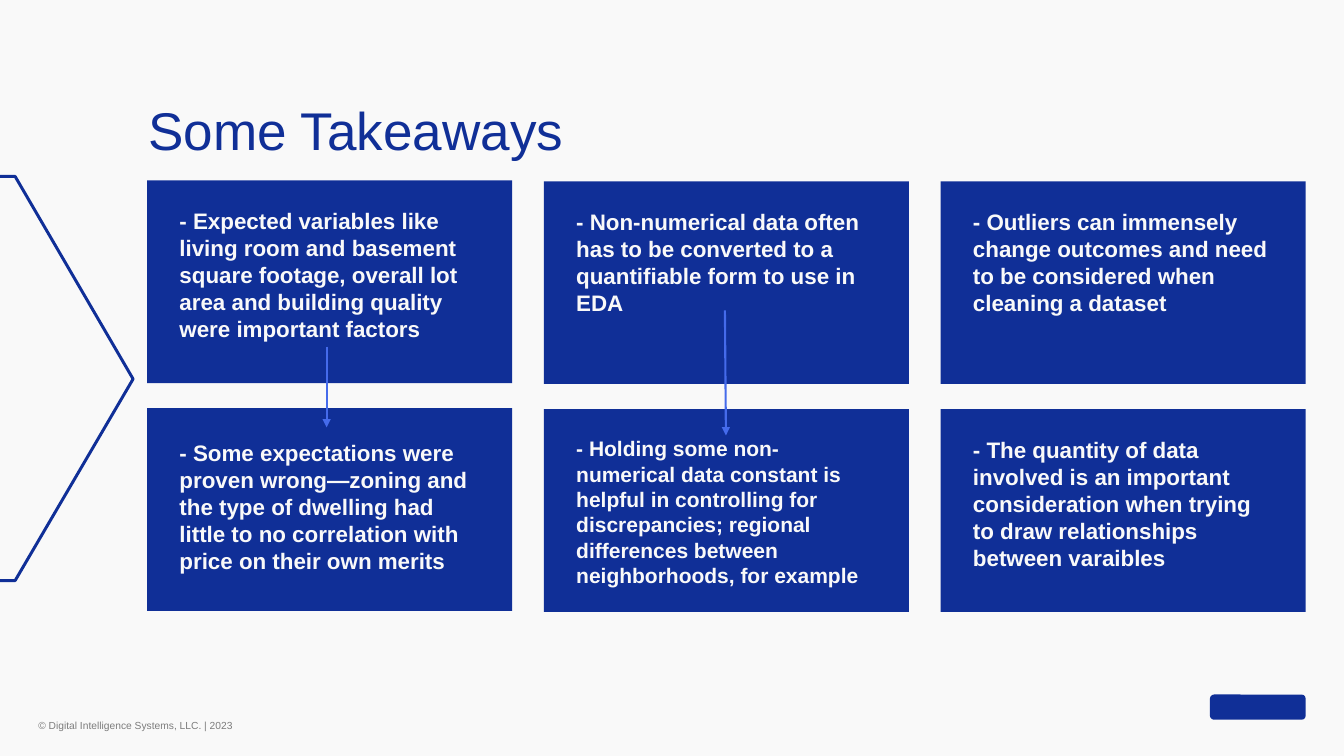
from lxml.etree import SubElement
from pptx import Presentation
from pptx.dml.color import RGBColor
from pptx.enum.shapes import MSO_CONNECTOR, MSO_SHAPE
from pptx.enum.text import MSO_ANCHOR, MSO_AUTO_SIZE, PP_ALIGN
from pptx.oxml.ns import qn
from pptx.util import Inches, Pt

NAVY = RGBColor(0x10, 0x2F, 0x97)
ARROW_BLUE = RGBColor(0x45, 0x6B, 0xEB)
OFF_WHITE = RGBColor(0xF9, 0xF9, 0xF9)
GREY = RGBColor(0x7C, 0x7C, 0x7C)
FONT = "Arial"

CARD_LEFT, CARD_TOP = 1.46, 1.8
CARD_WIDTH, CARD_HEIGHT = 3.62, 2.01
COLUMN_STEP, ROW_STEP = 3.935, 2.26
TEXT_INSET = 0.32

# Each takeaway: text, top of its text, font size
TAKEAWAYS = [
    [
        ("- Expected variables like living room and basement square footage, "
         "overall lot area and building quality were important factors", 2.05, 16),
        ("- Non-numerical data often has to be converted to a quantifiable "
         "form to use in EDA", 2.06, 16),
        ("- Outliers can immensely change outcomes and need to be considered "
         "when cleaning a dataset", 2.06, 16),
    ],
    [
        ("- Some expectations were proven wrong—zoning and the type of dwelling "
         "had little to no correlation with price on their own merits", 4.35, 16),
        ("- Holding some non-numerical data constant is helpful in controlling "
         "for discrepancies; regional differences between neighborhoods, "
         "for example", 4.32, 15),
        ("- The quantity of data involved is an important consideration when "
         "trying to draw relationships between varaibles", 4.32, 16),
    ],
]


def write_text(shape, text, size, color, bold=False, line_spacing=1.0,
               anchor=MSO_ANCHOR.TOP):
    """Fill a shape with one left-aligned paragraph and no margins."""
    frame = shape.text_frame
    frame.word_wrap = True
    frame.auto_size = MSO_AUTO_SIZE.NONE
    frame.vertical_anchor = anchor
    frame.margin_left = frame.margin_right = 0
    frame.margin_top = frame.margin_bottom = 0
    paragraph = frame.paragraphs[0]
    paragraph.text = text
    paragraph.alignment = PP_ALIGN.LEFT
    paragraph.line_spacing = line_spacing
    paragraph.space_before = Pt(0)
    font = paragraph.font
    font.name, font.size, font.bold = FONT, Pt(size), bold
    font.color.rgb = color


class TakeawaySlide:
    def __init__(self, presentation):
        self.slide = presentation.slides.add_slide(presentation.slide_layouts[5])
        self.shapes = self.slide.shapes
        background = self.slide.background.fill
        background.solid()
        background.fore_color.rgb = OFF_WHITE

    def title(self, text, left, top, width, height):
        title = self.shapes.title
        title.left, title.top = Inches(left), Inches(top)
        title.width, title.height = Inches(width), Inches(height)
        write_text(title, text, 37.9, NAVY, line_spacing=0.9,
                   anchor=MSO_ANCHOR.MIDDLE)

    def text(self, text, left, top, width, height, **text_format):
        box = self.shapes.add_textbox(Inches(left), Inches(top),
                                      Inches(width), Inches(height))
        write_text(box, text, **text_format)

    def block(self, left, top, width, height, kind=MSO_SHAPE.RECTANGLE):
        block = self.shapes.add_shape(kind, Inches(left), Inches(top),
                                      Inches(width), Inches(height))
        block.shadow.inherit = False
        block.fill.solid()
        block.fill.fore_color.rgb = NAVY
        block.line.fill.background()

    def outline(self, points):
        """Draw an open, unfilled line through the points."""
        corners = [(Inches(x), Inches(y)) for x, y in points]
        builder = self.shapes.build_freeform(*corners[0])
        builder.add_line_segments(corners[1:], close=False)
        outline = builder.convert_to_shape()
        outline.shadow.inherit = False
        outline.fill.background()
        outline.line.color.rgb = NAVY
        outline.line.width = Pt(2.12)

    def arrow(self, start, end):
        arrow = self.shapes.add_connector(
            MSO_CONNECTOR.STRAIGHT, *map(Inches, start), *map(Inches, end))
        arrow.line.color.rgb = ARROW_BLUE
        arrow.line.width = Pt(1.5)
        properties = arrow.element.spPr
        SubElement(properties.find(qn("a:ln")), qn("a:tailEnd"), type="triangle")
        SubElement(properties, qn("a:effectLst"))


def main():
    presentation = Presentation()
    presentation.slide_width = Inches(13.33)
    presentation.slide_height = Inches(7.5)
    page = TakeawaySlide(presentation)

    page.outline([(0, 1.75), (0.15, 1.75), (1.32, 3.76), (0.15, 5.76), (0, 5.76)])
    page.title("Some Takeaways", 1.47, 1.07, 7.68, 0.51)

    for row, takeaways in enumerate(TAKEAWAYS):
        for column, (text, text_top, size) in enumerate(takeaways):
            left = CARD_LEFT + column * COLUMN_STEP
            first_column_lift = 0.01 if column == 0 else 0
            page.block(left, CARD_TOP + row * ROW_STEP - first_column_lift,
                       CARD_WIDTH, CARD_HEIGHT)
            page.text(text, left + TEXT_INSET, text_top, 2.98, 1.5, size=size,
                      color=OFF_WHITE, bold=True, line_spacing=1.01)

    page.arrow((3.24, 3.44), (3.24, 4.24))
    page.arrow((7.19, 3.08), (7.2, 4.32))

    page.text("© Digital Intelligence Systems, LLC. | 2023", 0.38, 7.14, 3.07, 0.11,
              size=7.3, color=GREY, line_spacing=Pt(8.3), anchor=MSO_ANCHOR.MIDDLE)
    page.block(12, 6.89, 0.95, 0.25, MSO_SHAPE.ROUNDED_RECTANGLE)

    presentation.save("out.pptx")


if __name__ == "__main__":
    main()
